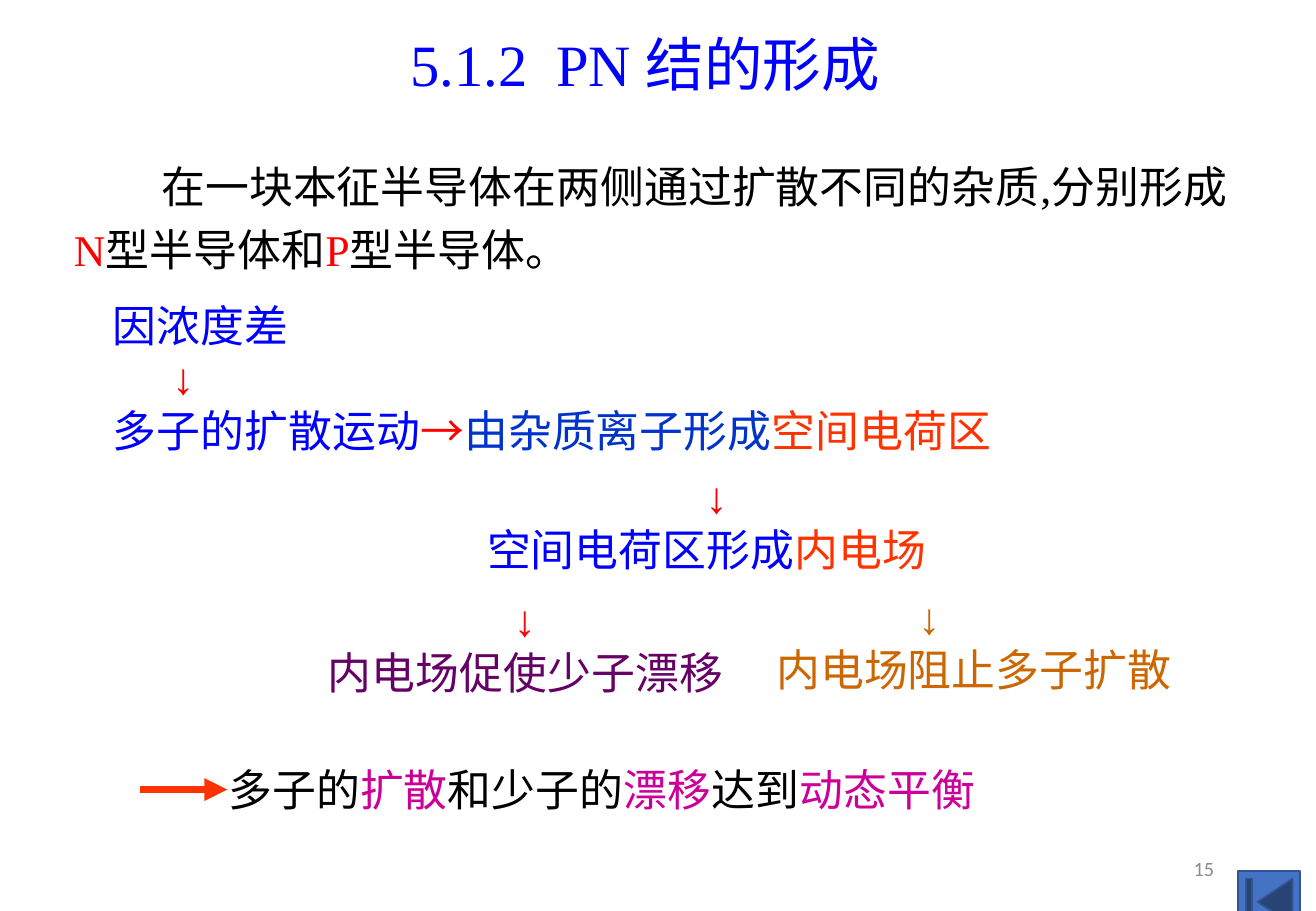
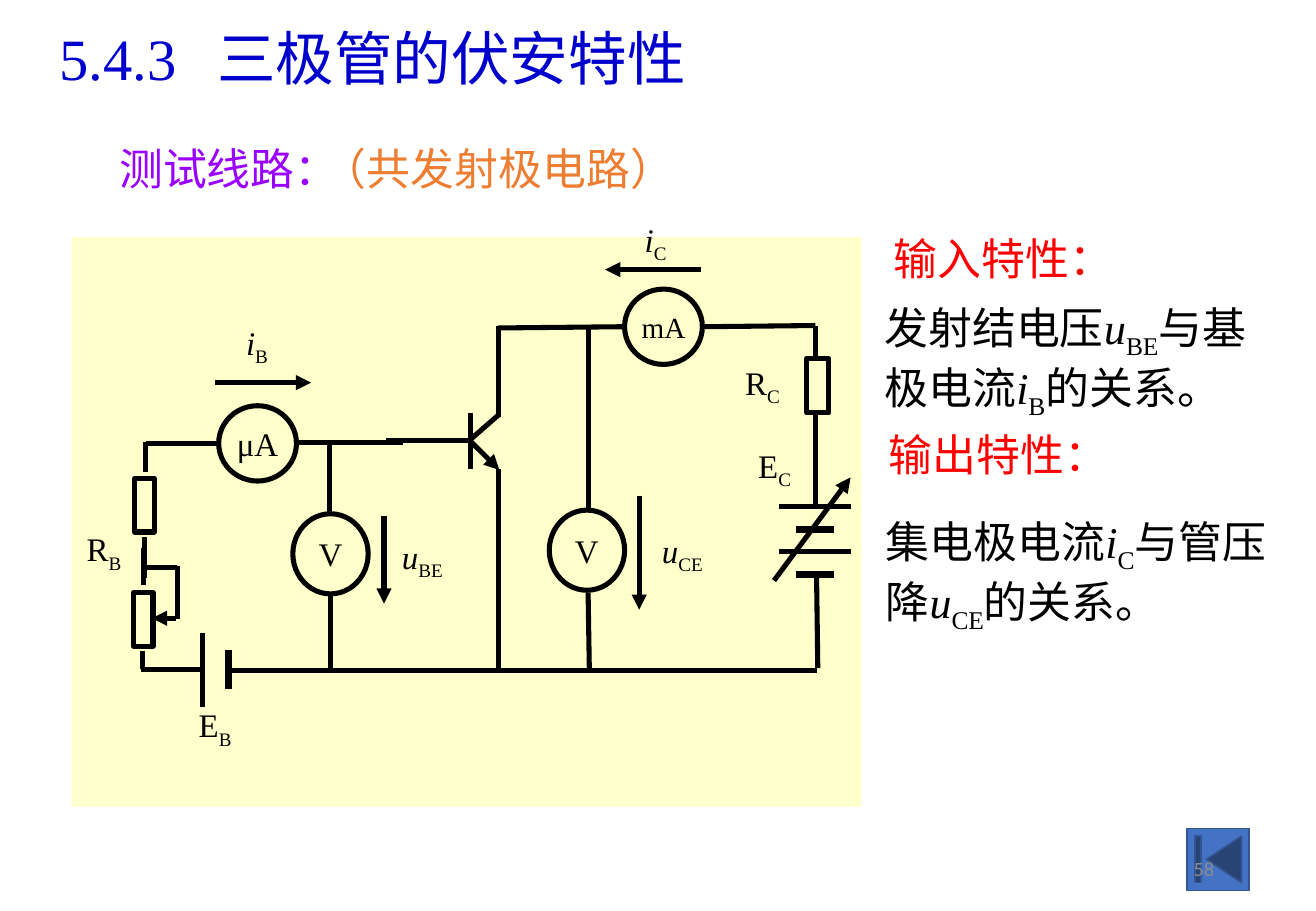
from lxml import etree
from pptx import Presentation
from pptx.dml.color import RGBColor
from pptx.enum.shapes import MSO_CONNECTOR, MSO_SHAPE
from pptx.enum.text import MSO_ANCHOR, PP_ALIGN
from pptx.oxml.ns import qn
from pptx.util import Emu, Pt

PX = 9144
LINE = MSO_CONNECTOR.STRAIGHT
RECT, OVAL = MSO_SHAPE.RECTANGLE, MSO_SHAPE.OVAL
BACK = MSO_SHAPE.ACTION_BUTTON_BEGINNING
TOP, MID = MSO_ANCHOR.TOP, MSO_ANCHOR.MIDDLE
LEFT, CENTER, RIGHT = PP_ALIGN.LEFT, PP_ALIGN.CENTER, PP_ALIGN.RIGHT
HUES = {
    "ink": "000000", "blue": "0000FF", "navy": "0000CC", "royal": "0033CC",
    "red": "FF0000", "flame": "FF3300", "plum": "660066", "amber": "CC6600",
    "pink": "CC0099", "violet": "9900FF", "orange": "ED7D31", "cream": "FFFFCC",
    "key": "4472C4", "edge": "325491", "gray": "8C8C8C",
}


class Deck:
    """Holds the shared style and the current slide, and draws each kind of element."""

    def __init__(self, wide, high):
        self.show = Presentation()
        self.show.slide_width, self.show.slide_height = Emu(wide * PX), Emu(high * PX)

    def hue(self, name):
        return RGBColor.from_string(HUES[name])

    def page(self, box, head, stop):
        self.slide = self.show.slides.add_slide(self.show.slide_layouts[6])
        self.text(box, [head], size=34.7, tab=stop)

    def foot(self, num, left, top):
        self.shape(BACK, (left, top, 51, 51), "key", "edge", 1)
        self.text((765, 695, 244, 40), [[(num, "gray")]], size=12, face="Calibri",
                  align=RIGHT, anchor=MID)

    def fill(self, frame, paras, size=26, face="Times New Roman", align=LEFT,
             anchor=TOP, pad=(10, 5), wrap=True, dents=(), space=None, tab=None):
        side, end = (Emu(n * PX) for n in pad)
        form = {"margin_left": side, "margin_right": side, "margin_top": end,
                "margin_bottom": end, "vertical_anchor": anchor, "word_wrap": wrap}
        for key, val in form.items():
            setattr(frame, key, val)
        for i, runs in enumerate(paras):
            para = frame.add_paragraph() if i else frame.paragraphs[0]
            para.alignment = align
            if space:
                para.line_spacing = space
            props = para._p.get_or_add_pPr()
            if dents:
                props.set("indent", str(dents[i] * PX))
            if tab:
                tabs = etree.SubElement(props, qn("a:tabLst"))
                etree.SubElement(tabs, qn("a:tab"), pos=str(tab * PX), algn="l")
            for words, tint, *mark in runs:
                run = para.add_run()
                run.text = words
                look = {"size": Pt(size), "name": face, "italic": "i" in mark}
                for key, val in look.items():
                    setattr(run.font, key, val)
                run.font.color.rgb = self.hue(tint)
                if "sub" in mark:
                    run._r.get_or_add_rPr().set("baseline", "-25000")

    def text(self, box, paras, **form):
        item = self.slide.shapes.add_textbox(*(Emu(n * PX) for n in box))
        self.fill(item.text_frame, paras, **form)

    def label(self, box, base, sub, *mark):
        self.text(box, [[(base, "ink", *mark), (sub, "ink", "sub")]], size=19.5,
                  align=CENTER, anchor=MID, pad=(11, 6), wrap=False)

    def shape(self, kind, box, fill=None, edge=None, width=3):
        item = self.slide.shapes.add_shape(kind, *(Emu(n * PX) for n in box))
        item.shadow.inherit = False
        if fill:
            item.fill.solid()
            item.fill.fore_color.rgb = self.hue(fill)
        else:
            item.fill.background()
        if edge:
            item.line.color.rgb = self.hue(edge)
            item.line.width = Pt(width)
        else:
            item.line.fill.background()
        return item

    def meter(self, box, unit, size=19.5):
        item = self.shape(OVAL, box, edge="ink")
        self.fill(item.text_frame, [[(unit, "ink")]], size=size, align=CENTER,
                  anchor=MID, pad=(0, 0), wrap=False)

    def wire(self, ends, width=3, tint="ink", tip=False):
        item = self.slide.shapes.add_connector(LINE, *(Emu(n * PX) for n in ends))
        item.line.color.rgb = self.hue(tint)
        item.line.width = Pt(width)
        if tip:
            etree.SubElement(item.line._get_or_add_ln(), qn("a:tailEnd"), type="triangle")
        etree.SubElement(item._element.spPr, qn("a:effectLst"))


def junction(deck):
    """Draws the slide on how the PN junction forms."""
    deck.page((328, 18, 452, 68), [("5.1.2\tPN 结的形成", "blue")], 120)
    deck.text((51, 120, 984, 110), [[
        ("在一块本征半导体在两侧通过扩散不同的杂质,分别形成", "ink"), ("N", "red"),
        ("型半导体和", "ink"), ("P", "red"), ("型半导体。", "ink")]],
        anchor=MID, dents=(72,), space=1.2)
    down = [("↓", "red")]
    deck.text((51, 240, 1014, 141), [
        [("因浓度差", "blue")], down,
        [("多子的扩散运动", "blue"), ("→", "red"), ("由杂质离子形成", "royal"),
         ("空间电荷区", "flame")]], anchor=MID, dents=(32, 81, 32))
    steps = [
        ((246, 382, 624, 98), down, [("空间电荷区形成", "blue"), ("内电场", "flame")], (325, 145)),
        ((260, 483, 433, 98), down, [("内电场促使少子漂移", "plum")], (153, 0)),
        ((629, 481, 406, 98), [("↓", "amber")], [("内电场阻止多子扩散", "amber")], (117, 0)),
    ]
    for box, sign, words, dents in steps:
        deck.text(box, [sign, words], dents=dents)
    deck.text((178, 623, 849, 54), [[
        ("多子的", "ink"), ("扩散", "pink"), ("和少子的", "ink"), ("漂移", "pink"),
        ("达到", "ink"), ("动态平衡", "pink")]])
    deck.wire((115, 650, 187, 650), 4.5, "flame", True)
    deck.foot("15", 1019, 717)


def circuit(deck):
    """Draws the common-emitter test circuit."""
    deck.shape(RECT, (59, 195, 650, 469), "cream")
    wires = [
        (120, 389, 120, 364), (119, 476, 119, 442), (118, 482, 118, 451),
        (117, 551, 117, 536), (118, 467, 146, 467), (146, 466, 146, 510),
        (116, 551, 167, 551), (167, 521, 167, 582), (189, 552, 672, 552),
        (120, 365, 180, 365), (246, 364, 332, 364), (318, 363, 388, 363),
        (271, 422, 271, 363), (272, 491, 272, 552), (387, 340, 387, 386),
        (387, 362, 411, 341), (410, 268, 410, 343), (410, 386, 410, 552),
        (410, 270, 513, 269), (484, 420, 484, 270), (484, 488, 485, 552),
        (580, 269, 671, 268), (671, 268, 671, 418), (672, 473, 673, 550),
    ]
    for ends in wires:
        deck.wire(ends)
    tips = [
        (145, 509, 125, 509), (637, 478, 700, 393), (387, 363, 411, 387),
        (526, 408, 526, 502), (177, 315, 256, 315), (577, 222, 498, 222),
        (316, 425, 316, 497),
    ]
    for ends in tips:
        deck.wire(ends, tip=True)
    deck.wire((188, 535, 188, 567), 4.5)
    for top in (417, 454):
        deck.wire((641, top, 700, top))
        deck.wire((655, top + 19, 686, top + 19), 4.5)
    for box in ((111, 394, 16, 44), (110, 488, 16, 44), (664, 295, 18, 45)):
        deck.shape(RECT, box, "cream", "ink")
    deck.meter((514, 238, 64, 62), "mA", 17.3)
    deck.meter((180, 334, 64, 62), "μA")
    for left, top in ((241, 423), (452, 420)):
        deck.meter((left, top, 62, 66), "V")
    deck.label((527, 433, 69, 44), "u", "CE", "i")
    deck.label((317, 438, 61, 44), "u", "BE", "i")
    deck.label((191, 262, 41, 44), "i", "B", "i")
    deck.label((519, 177, 41, 44), "i", "C", "i")
    deck.label((59, 432, 53, 44), "R", "B")
    deck.label((601, 295, 53, 44), "R", "C")
    deck.label((151, 577, 52, 44), "E", "B")
    deck.label((611, 363, 53, 44), "E", "C")


def curves(deck):
    """Draws the slide on the volt-ampere curves of the transistor."""
    deck.page((39, 13, 648, 70), [("5.4.3\t三极管的伏安特性", "navy")], 130)
    heads = [((38, 111, 301, 55), "测试线路：", "violet"),
             ((673, 185, 306, 55), "输入特性：", "red"),
             ((673, 346, 298, 55), "输出特性：", "red")]
    for box, words, tint in heads:
        deck.text(box, [[(words, tint)]], align=CENTER, anchor=MID, pad=(11, 6))
    deck.text((256, 112, 324, 54), [[("（共发射极电路）", "orange")]])
    circuit(deck)
    notes = [
        ((718, 243, 351, 98), "发射结电压", "u", "BE", "与基极电流", "i", "B"),
        ((719, 419, 361, 98), "集电极电流", "i", "C", "与管压降", "u", "CE"),
    ]
    for box, lead, one, low, link, two, end in notes:
        deck.text(box, [[
            (lead, "ink"), (one, "ink", "i"), (low, "ink", "sub"), (link, "ink"),
            (two, "ink", "i"), (end, "ink", "sub"), ("的关系。", "ink")]])
    deck.foot("58", 977, 682)


def main():
    """Builds both slides and saves them."""
    deck = Deck(1083, 750)
    junction(deck)
    curves(deck)
    deck.show.save("out.pptx")


if __name__ == "__main__":
    main()
